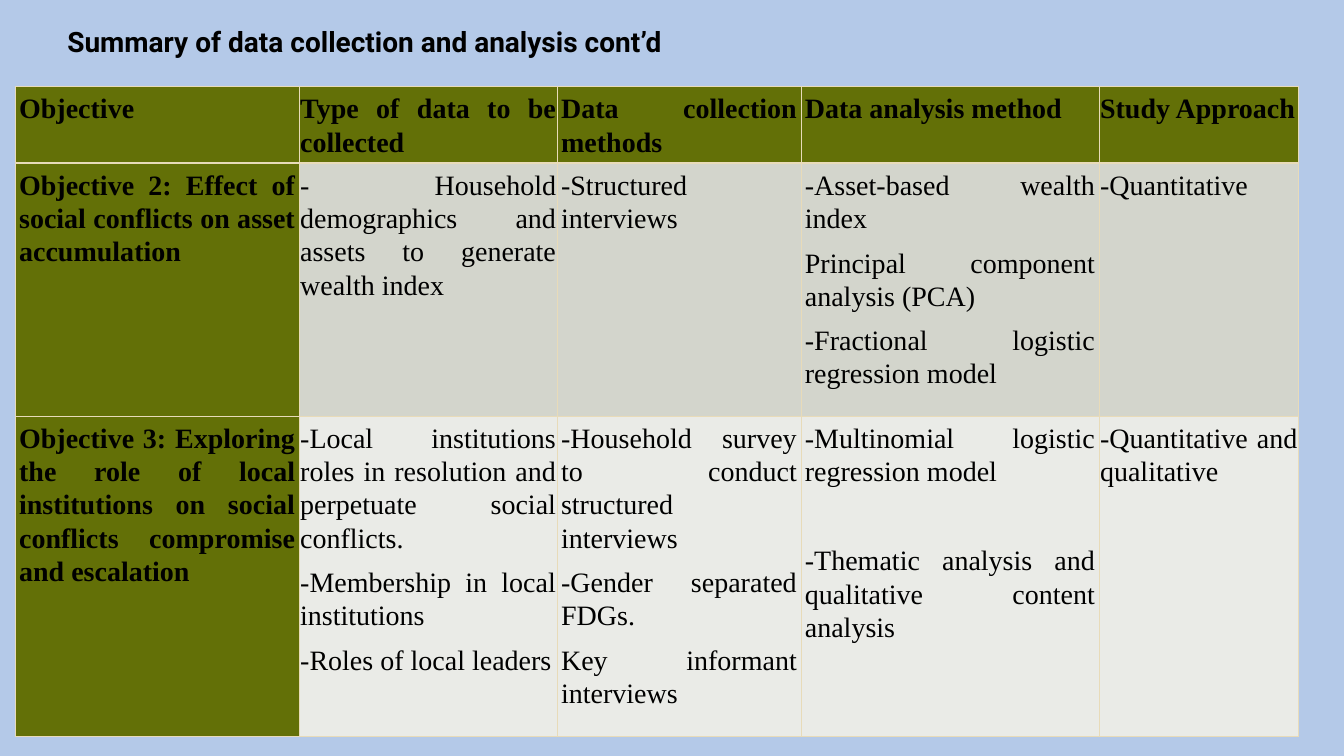
from lxml import etree
from pptx import Presentation
from pptx import util as u
from pptx.dml.color import RGBColor
from pptx.enum import text
from pptx.oxml import ns

SKY = RGBColor(0xB4, 0xC9, 0xE8)
OLIVE = RGBColor(0x63, 0x70, 0x07)
STONE = RGBColor(0xD3, 0xD5, 0xCC)
PALE = RGBColor(0xEA, 0xEB, 0xE7)
SAND = RGBColor(0xE8, 0xDB, 0xB9)
BLACK = RGBColor(0, 0, 0)

COLUMNS, ROWS = 133.4, 75  # grid cells of a tenth of an inch
THIN, THICK = 0.45, 1.47
GAP = 32  # points, one missing line within a cell

TITLE = "Summary of data collection and analysis cont’d"
HEADINGS = ["Objective", "Type of data to be collected", "Data collection methods",
            "Data analysis method", "Study Approach"]
OBJECTIVE_2 = [
    "Objective 2: Effect of social conflicts on asset accumulation",
    "- Household demographics and assets to generate wealth index",
    "-Structured interviews",
    "-Asset-based wealth index\nPrincipal component analysis (PCA)\n"
    "-Fractional logistic regression model",
    "-Quantitative",
]
OBJECTIVE_3 = [
    "Objective 3: Exploring the role of local institutions on social conflicts "
    "compromise and escalation",
    "-Local institutions roles in resolution and perpetuate social conflicts.\n"
    "-Membership in local institutions\n-Roles of local leaders",
    "-Household survey to conduct structured interviews\n"
    "-Gender separated FDGs.\nKey informant interviews",
    "-Multinomial logistic regression model\n"
    "-Thematic analysis and qualitative content analysis",
    "-Quantitative and qualitative",
]
COLUMN_WIDTHS = [28.2, 25.6, 24.2, 29.6, 19.8]
ROW_HEIGHTS = [7.2, 25.1, 31.8]
SIDE_MARGINS = [0.4, 0.1, 0.4, 0.4, 0.1]
BODY_FILLS = [OLIVE, STONE, PALE]


def grid(cells):
    return u.Inches(cells / 10)


class SummarySlide:
    def __init__(self):
        self.deck = Presentation()
        self.deck.slide_width, self.deck.slide_height = grid(COLUMNS), grid(ROWS)
        self.slide = self.deck.slides.add_slide(self.deck.slide_layouts[6])
        background = self.slide.background.fill
        background.solid()
        background.fore_color.rgb = SKY

    def style(self, paragraph, bold, face="Times New Roman", **layout):
        for name, value in layout.items():
            setattr(paragraph, name, value)
        font = paragraph.font
        for name, value in {"name": face, "size": u.Pt(20), "bold": bold}.items():
            setattr(font, name, value)
        font.color.rgb = BLACK

    def title(self, words, left, top, width, height):
        box = self.slide.shapes.add_textbox(*map(grid, (left, top, width, height)))
        box.text_frame.word_wrap = True
        box.text_frame.text = words
        self.style(box.text_frame.paragraphs[0], True, "Roboto")

    def borders(self, cell, top, bottom):
        properties = cell._tc.get_or_add_tcPr()
        widths = {"L": THIN, "R": THIN, "T": top, "B": bottom}
        for place, (side, width) in enumerate(widths.items()):
            line = etree.Element(ns.qn(f"a:ln{side}"), w=str(u.Pt(width)))
            fill = etree.SubElement(line, ns.qn("a:solidFill"))
            etree.SubElement(fill, ns.qn("a:srgbClr"), val=str(SAND))
            properties.insert(place, line)

    def cell(self, cell, words, fill, bold, side):
        cell.margin_left = cell.margin_right = grid(side)
        cell.fill.solid()
        cell.fill.fore_color.rgb = fill
        cell.text_frame.text = words
        for paragraph in cell.text_frame.paragraphs:
            self.style(paragraph, bold, alignment=text.PP_ALIGN.JUSTIFY,
                       line_spacing=1.07, space_after=u.Pt(8))

    def table(self, records, left, top):
        table = self.slide.shapes.add_table(
            len(records), len(COLUMN_WIDTHS), grid(left), grid(top),
            grid(sum(COLUMN_WIDTHS)), grid(sum(ROW_HEIGHTS))).table
        table.horz_banding = False
        for column, width in zip(table.columns, COLUMN_WIDTHS):
            column.width = grid(width)
        for r, (record, height) in enumerate(zip(records, ROW_HEIGHTS)):
            table.rows[r].height = grid(height)
            for c, words in enumerate(record):
                cell = table.cell(r, c)
                self.cell(cell, words, BODY_FILLS[r] if c else OLIVE,
                          r == 0 or c == 0, SIDE_MARGINS[c])
                self.borders(cell, THICK if r == 1 else THIN, THICK if r == 0 else THIN)
        return table


def main():
    summary = SummarySlide()
    objectives = summary.table([HEADINGS, OBJECTIVE_2, OBJECTIVE_3], 1.5, 8.6)
    thematic_analysis = objectives.cell(2, 3).text_frame.paragraphs[1]
    thematic_analysis.space_before = u.Pt(GAP)
    summary.title(TITLE, 5.7, 1.9, 66.5, 7.7)
    summary.deck.save("out.pptx")


if __name__ == "__main__":
    main()
